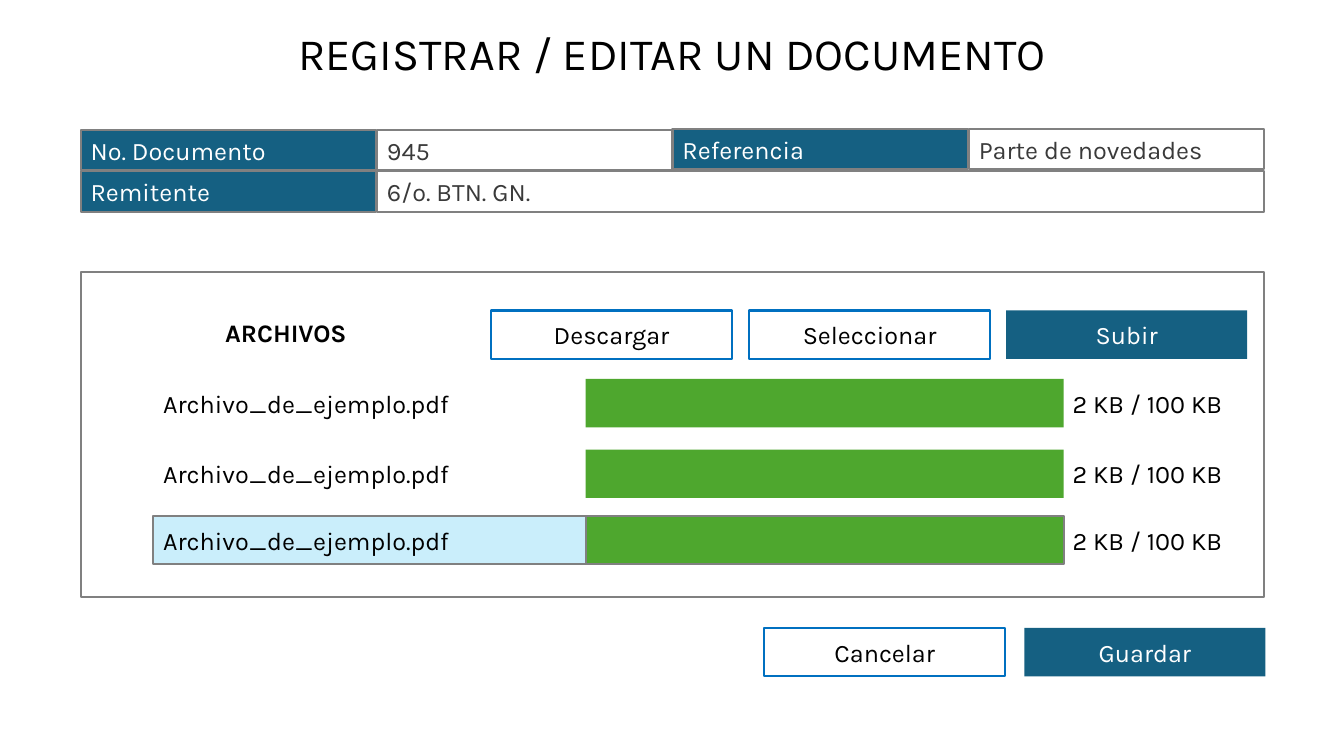
from pptx import Presentation
from pptx.dml.color import RGBColor
from pptx.enum.shapes import MSO_SHAPE as Shape
from pptx.enum.text import MSO_ANCHOR as Anchor, PP_ALIGN as Align
from pptx.util import Emu, Pt

EMU_PER_PX = 9144  # 100 px to the inch
FONT = "Karla"

WHITE = RGBColor(0xFF, 0xFF, 0xFF)
BLACK = RGBColor(0x00, 0x00, 0x00)
CHARCOAL = RGBColor(0x3A, 0x3A, 0x3A)
GREY = RGBColor(0x80, 0x80, 0x80)
TEAL = RGBColor(0x15, 0x60, 0x82)
BLUE = RGBColor(0x00, 0x70, 0xC0)
GREEN = RGBColor(0x4E, 0xA7, 0x2E)
PALE_BLUE = RGBColor(0xCA, 0xEE, 0xFB)

LEFT, FULL_WIDTH = 80, 1174
CONTROL_HEIGHT = 48
BUTTON_WIDTH = 239
FIELD_WIDTH, FIELD_HEIGHT = 293, 40
FILE_LEFT, BAR_LEFT, SIZE_LEFT = 152, 581, 1054
BAR_WIDTH, SIZE_WIDTH = 474, 183


def px(*lengths):
    return [Emu(length * EMU_PER_PX) for length in lengths]


def write(box, text, color=BLACK, align=Align.LEFT, size=18, bold=False):
    frame = box.text_frame
    frame.word_wrap = True
    frame.vertical_anchor = Anchor.MIDDLE
    para = frame.paragraphs[0]
    para.alignment = align
    span = para.add_run()
    span.text = text
    values = {"name": FONT, "size": Pt(size), "bold": bold}
    for name, value in values.items():
        setattr(span.font, name, value)
    span.font.color.rgb = color


def add_label(page, place, text, **style):
    write(page.shapes.add_textbox(*px(*place)), text, **style)


def add_box(page, place, fill=None, line=None):
    """Add a rectangle; a fill or line of None is left out."""
    box = page.shapes.add_shape(Shape.RECTANGLE, *px(*place))
    box.shadow.inherit = False
    if fill is None:
        box.fill.background()
    else:
        box.fill.solid()
        box.fill.fore_color.rgb = fill
    if line is None:
        box.line.fill.background()
    else:
        box.line.color.rgb = line
        box.line.width = Pt(1.5)
    return box


def add_field(page, left, top, name, value, value_width=FIELD_WIDTH):
    """Add a dark name cell with its white value cell to the right."""
    name_box = add_box(page, (left, top, FIELD_WIDTH, FIELD_HEIGHT), TEAL, GREY)
    write(name_box, name, WHITE)
    value_place = (left + FIELD_WIDTH + 1, top, value_width, FIELD_HEIGHT)
    write(add_box(page, value_place, WHITE, GREY), value, CHARCOAL)


def add_button(page, left, top, text, primary=False):
    fill, line, color = (TEAL, None, WHITE) if primary else (WHITE, BLUE, BLACK)
    button = add_box(page, (left, top, BUTTON_WIDTH, CONTROL_HEIGHT), fill, line)
    write(button, text, color, Align.CENTER)


def add_file_row(page, top, name, size, selected=False):
    """Add a file name, its progress bar and its size."""
    name_place = (FILE_LEFT, top, BAR_LEFT - FILE_LEFT, CONTROL_HEIGHT)
    if selected:
        write(add_box(page, name_place, PALE_BLUE, GREY), name)
    else:
        add_label(page, name_place, name)
    bar_place = (BAR_LEFT, top, BAR_WIDTH, CONTROL_HEIGHT)
    add_box(page, bar_place, GREEN, GREY if selected else None)
    add_label(page, (SIZE_LEFT, top, SIZE_WIDTH, CONTROL_HEIGHT), size)


def main():
    deck = Presentation()
    deck.slide_width, deck.slide_height = px(1333, 750)
    page = deck.slides.add_slide(deck.slide_layouts[6])

    add_label(page, (LEFT, 28, FULL_WIDTH, CONTROL_HEIGHT),
              "REGISTRAR / EDITAR UN DOCUMENTO", align=Align.CENTER, size=32)

    add_field(page, LEFT, 129, "No. Documento", "945")
    add_field(page, 667, 128, "Referencia", "Parte de novedades")
    add_field(page, LEFT, 170, "Remitente", "6/o. BTN. GN.", 880)

    add_box(page, (LEFT, 270, FULL_WIDTH, 322), line=GREY)
    add_label(page, (96, 306, 375, CONTROL_HEIGHT), "ARCHIVOS",
              align=Align.CENTER, bold=True)
    for top, selected in ((376, False), (446, False), (512, True)):
        add_file_row(page, top, "Archivo_de_ejemplo.pdf", "2 KB / 100 KB", selected)

    add_button(page, 487, 308, "Descargar")
    add_button(page, 743, 308, "Seleccionar")
    add_button(page, 998, 308, "Subir", primary=True)
    add_button(page, 758, 623, "Cancelar")
    add_button(page, 1016, 623, "Guardar", primary=True)

    deck.save("out.pptx")


if __name__ == "__main__":
    main()
